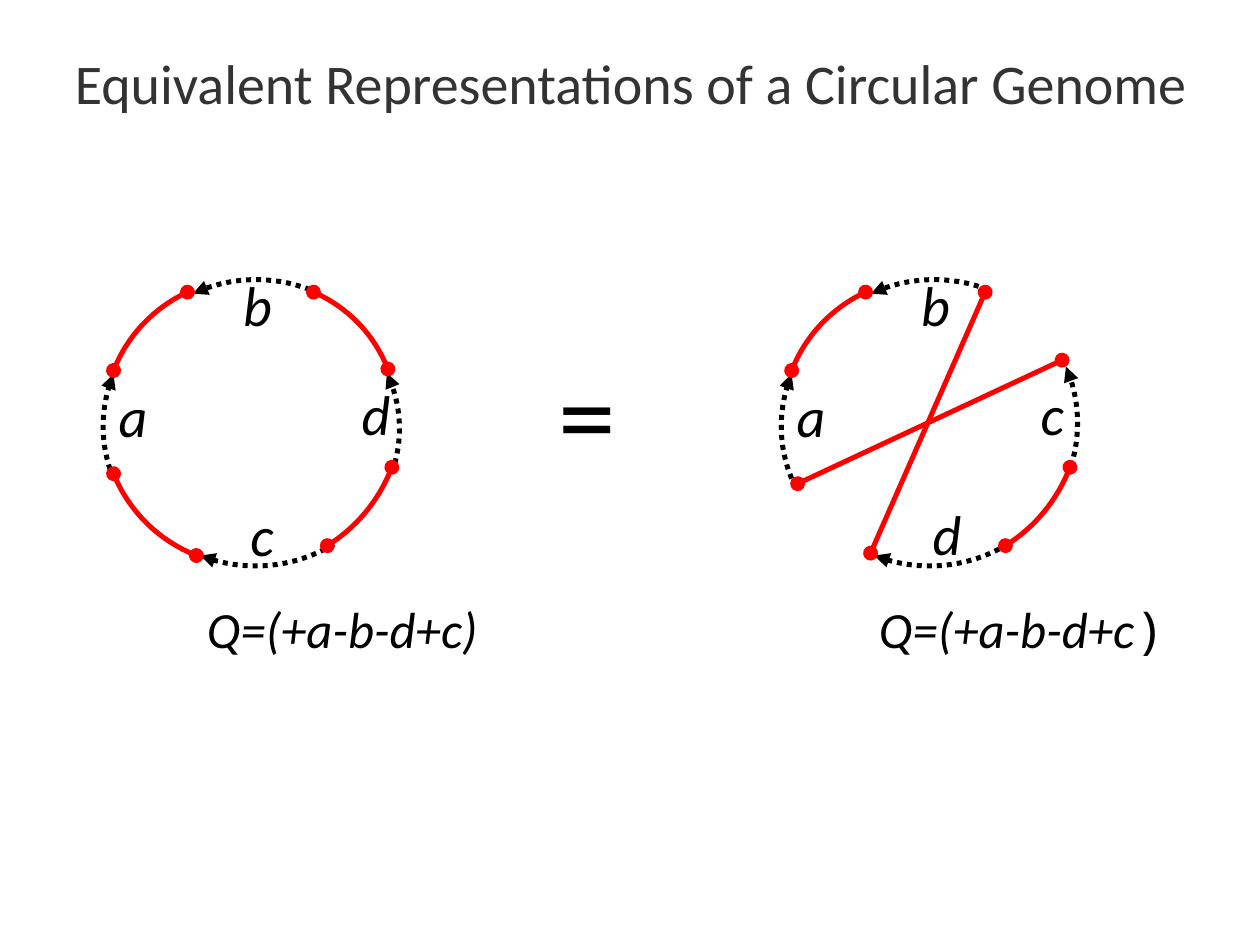
"""Slide showing two equivalent drawings of one circular genome."""
import math

from lxml import etree
from pptx import Presentation, util as u
from pptx.dml.color import RGBColor
from pptx.enum import dml, shapes, text
from pptx.oxml.ns import qn

THEME = {
    "font": "Calibri", "mono": "Noto Sans Mono",
    "title": RGBColor(0x33, 0x33, 0x33), "ink": RGBColor(0, 0, 0), "adjacency": RGBColor(0xFF, 0, 0),
    "title_size": 32, "label_size": 32, "formula_size": 29, "equals_size": 66, "stroke": 2.85,
}
TITLE = "Equivalent Representations of a Circular Genome"
FORMULA, FORMULA_END = "\tQ=(+a-b-d+c)\tQ=(+a-b-d+c", ")"
FORMULA_STOPS = (3.08, 16.63)

# Each arc is start, a point on the way, end, in cm from the left edge of its genome.
SHARED_GENES = [
    ((2.29, 9.65), (2.08, 8.6), (2.29, 7.54)),
    ((6.25, 5.84), (5.05, 5.64), (3.89, 5.92)),
]
SHARED_ADJACENCIES = [
    ((3.78, 5.89), (2.87, 6.55), (2.29, 7.47)),
    ((6.6, 11.0), (7.3, 10.41), (7.9, 9.42)),
]
SHARED_LABELS = [("a", 2.39, 8.13), ("b", 4.9, 5.89)]
GENOMES = [
    {
        "left": 0,
        "genes": [((6.73, 10.97), (5.41, 11.4), (4.04, 11.2)),
                  ((7.9, 9.53), (8.05, 8.5), (7.8, 7.52))],
        "adjacencies": [((7.82, 7.44), (7.24, 6.53), (6.32, 5.89)),
                        ((2.29, 9.55), (2.95, 10.54), (3.96, 11.2))],
        "crossings": [],
        "labels": [("d", 7.29, 8.1), ("c", 5.05, 10.54)],
    },
    {
        "left": 13.67,
        "genes": [((6.65, 10.97), (5.33, 11.4), (3.96, 11.2)),
                  ((7.92, 9.4), (8.05, 8.38), (7.82, 7.39))],
        "adjacencies": [],
        "crossings": [((6.19, 5.89), (3.88, 11.15)), ((7.74, 7.26), (2.41, 9.75))],
        "labels": [("c", 7.31, 8.1), ("d", 5.13, 10.52)],
    },
]


def arc_points(start, via, end, steps=16):
    (ax, ay), (bx, by), (cx, cy) = start, via, end
    double_area = 2 * (ax * (by - cy) + bx * (cy - ay) + cx * (ay - by))
    a2, b2, c2 = (x * x + y * y for x, y in (start, via, end))
    mx = (a2 * (by - cy) + b2 * (cy - ay) + c2 * (ay - by)) / double_area
    my = (a2 * (cx - bx) + b2 * (ax - cx) + c2 * (bx - ax)) / double_area
    radius = math.hypot(ax - mx, ay - my)
    first = math.atan2(ay - my, ax - mx)
    sweep = math.remainder(math.atan2(cy - my, cx - mx) - first, math.tau)
    angles = [first + sweep * i / steps for i in range(steps + 1)]
    return [(mx + radius * math.cos(t), my + radius * math.sin(t)) for t in angles]


def style_stroke(stroke, color, head=None, tail=None):
    stroke.line.color.rgb = color
    stroke.line.width = u.Pt(THEME["stroke"])
    ln = stroke.line._get_or_add_ln()
    for tag, kind in (("a:headEnd", head), ("a:tailEnd", tail)):
        if kind:
            etree.SubElement(ln, qn(tag), type=kind)


def add_arc(slide, left, arc, color, head=None, tail=None, dotted=False):
    points = [(u.Cm(left + x), u.Cm(y)) for x, y in arc_points(*arc)]
    builder = slide.shapes.build_freeform(*points[0])
    builder.add_line_segments(points[1:], close=False)
    curve = builder.convert_to_shape()
    curve.shadow.inherit = False
    curve.fill.background()
    if dotted:
        curve.line.dash_style = dml.MSO_LINE.ROUND_DOT
    style_stroke(curve, color, head, tail)


def add_crossing(slide, left, start, end):
    (x1, y1), (x2, y2) = start, end
    crossing = slide.shapes.add_connector(
        shapes.MSO_CONNECTOR.STRAIGHT, u.Cm(left + x1), u.Cm(y1), u.Cm(left + x2), u.Cm(y2))
    style_stroke(crossing, THEME["adjacency"], "oval", "oval")
    etree.SubElement(crossing._element.spPr, qn("a:effectLst"))


def format_run(run, size, color, italic=False, font=THEME["font"]):
    run.font.name, run.font.size = font, u.Pt(size)
    run.font.color.rgb, run.font.italic = color, italic


def add_words(slide, words, box, size, color=THEME["ink"], italic=False,
              spacing=None, wrap=True, inset=0):
    holder = slide.shapes.add_textbox(*(u.Cm(v) for v in box))
    frame = holder.text_frame
    frame.word_wrap = wrap
    frame.margin_left = frame.margin_right = u.Cm(inset)
    frame.margin_top = frame.margin_bottom = u.Cm(inset / 2)
    frame.text = words
    line = frame.paragraphs[0]
    if spacing:
        line.line_spacing = spacing
    format_run(line.runs[0], size, color, italic)
    return frame


def draw_genome(slide, genome):
    left = genome["left"]
    for arc in SHARED_GENES + genome["genes"]:
        add_arc(slide, left, arc, THEME["ink"], tail="triangle", dotted=True)
    for arc in SHARED_ADJACENCIES + genome["adjacencies"]:
        add_arc(slide, left, arc, THEME["adjacency"], "oval", "oval")
    for start, end in genome["crossings"]:
        add_crossing(slide, left, start, end)
    for letter, x, y in SHARED_LABELS + genome["labels"]:
        add_words(slide, letter, (left + x, y, 0.6, 1.2), THEME["label_size"],
                  italic=True, spacing=0.63, wrap=False)


def main():
    deck = Presentation()
    deck.slide_width, deck.slide_height = u.Cm(25.4), u.Cm(19.05)
    slide = deck.slides.add_slide(deck.slide_layouts[6])

    title = add_words(slide, TITLE, (0.05, 0.05, 25.35, 3.18), THEME["title_size"],
                      THEME["title"], spacing=1.02)
    title.vertical_anchor = text.MSO_ANCHOR.MIDDLE
    title.paragraphs[0].alignment = text.PP_ALIGN.CENTER

    for genome in GENOMES:
        draw_genome(slide, genome)

    add_words(slide, "=", (11, 6.78, 3.38, 3.07), THEME["equals_size"], inset=0.25)

    formula = add_words(slide, FORMULA, (1.09, 12.45, 23.04, 1.9), THEME["formula_size"],
                        italic=True, spacing=0.64).paragraphs[0]
    stops = etree.SubElement(formula._p.get_or_add_pPr(), qn("a:tabLst"))
    for stop in FORMULA_STOPS:
        etree.SubElement(stops, qn("a:tab"), pos=str(u.Cm(stop)), algn="l")
    closing = formula.add_run()
    closing.text = FORMULA_END
    format_run(closing, THEME["formula_size"], THEME["ink"], font=THEME["mono"])

    deck.save("out.pptx")


if __name__ == "__main__":
    main()
